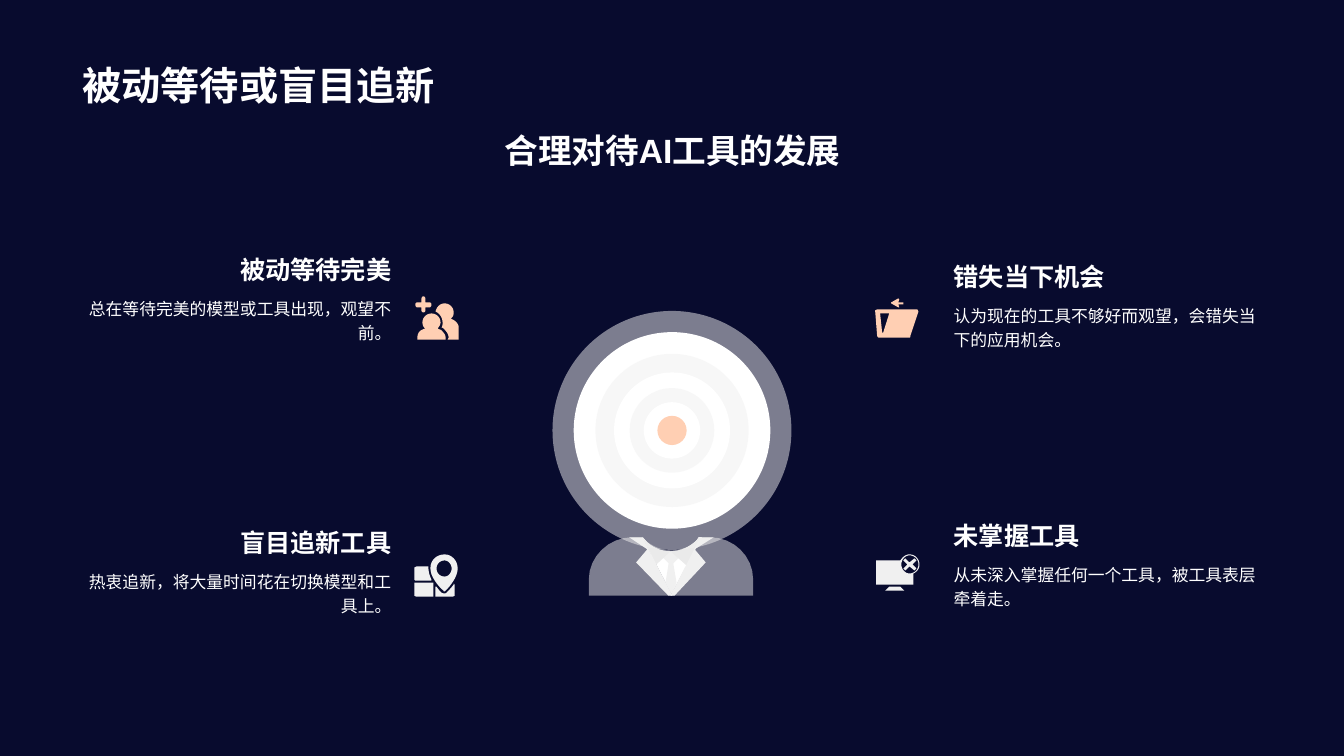
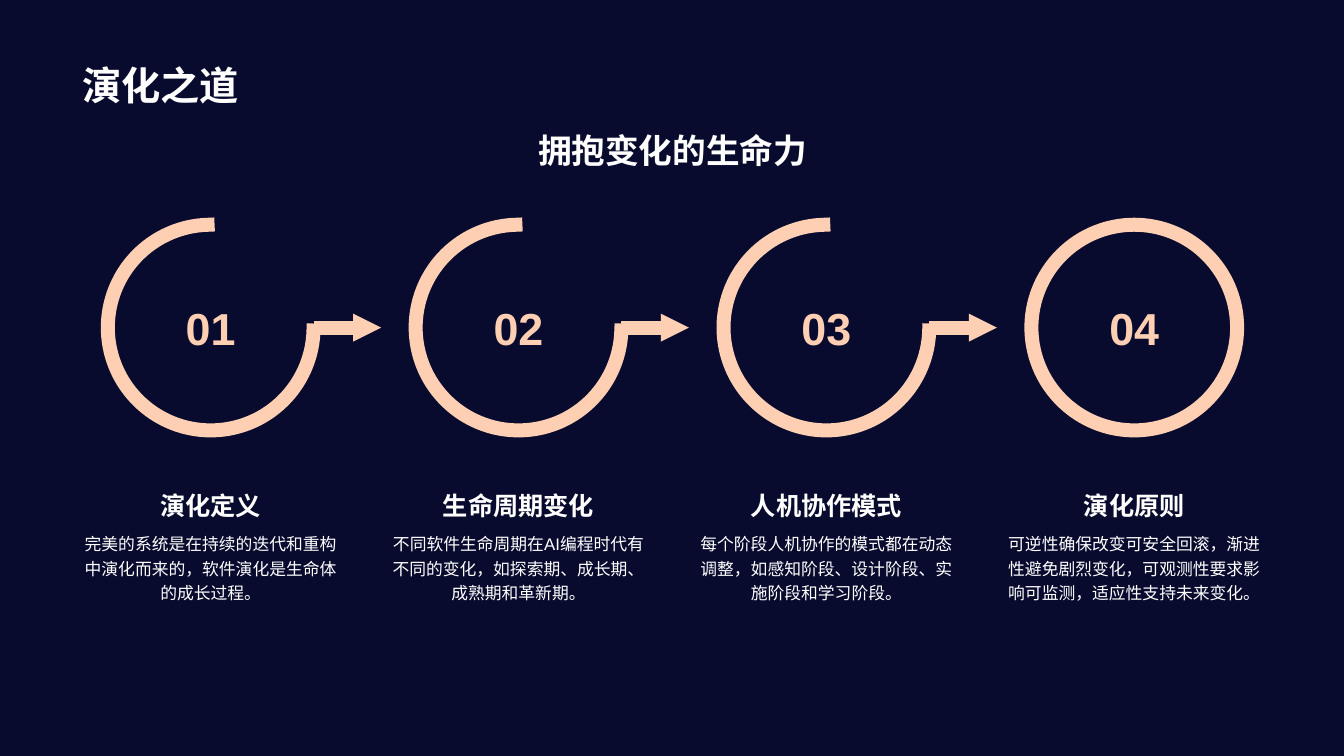
"""Build two dark slides: four points around a target, and a four-step evolution chain."""
import dataclasses
import itertools
import typing

import lxml.etree
import pptx
import pptx.dml.color
import pptx.enum.lang
import pptx.enum.shapes
import pptx.enum.text
import pptx.oxml.ns
import pptx.util

SHAPE = pptx.enum.shapes.MSO_SHAPE
ALIGN = pptx.enum.text.PP_ALIGN
ANCHOR = pptx.enum.text.MSO_ANCHOR
INCH = pptx.util.Inches
Point = tuple[float, float]


@dataclasses.dataclass(frozen=True)
class Theme:
    font: str = "Arial"
    back: str = "080B2E"
    white: str = "FFFFFF"
    pale: str = "F0F0F0"
    collar: str = "EAEAEA"
    accent: str = "FFCFB3"
    title: int = 28
    subtitle: int = 24
    number: int = 32
    heading: int = 18
    body: int = 12
    stroke: int = 10
    spacing: float = 1.2


class Box(typing.NamedTuple):
    x: float
    y: float
    w: float
    h: float


class Outline(typing.NamedTuple):
    data: str
    color: str
    alpha: int = 100


class Ring(typing.NamedTuple):
    diameter: float
    color: str
    alpha: int = 100


class Topic(typing.NamedTuple):
    on_left: bool
    y: float
    heading: str
    body: str
    icon: Outline
    icon_at: Point


class Step(typing.NamedTuple):
    heading: str
    body: str


T = Theme()
SLIDE_W, SLIDE_H = 13.33, 7.5
LEFT, CONTENT_W = 0.74, 11.86
RIGHT = LEFT + CONTENT_W
TITLE = Box(0.72, 0.14, 11.88, 0.98)
SUBTITLE = Box(LEFT, 1.24, CONTENT_W, 0.5)

PEOPLE = (
    "M 16 17 C 21 17 25 21 25 26 C 25 28 23 31 22 32 C 24 33 26 33 27 35 C 29 37 30 39 30 41 "
    "L 30 43 L 2 43 L 2 41 C 2 36 5 33 10 32 C 8 31 7 28 7 26 C 7 21 11 17 16 17 "
    "M 29 7 C 34 7 38 11 38 16 C 38 19 37 21 35 22 C 37 23 39 24 40 25 C 42 27 43 29 43 31 "
    "L 43 43 L 32 43 L 33 41 C 33 38 31 35 29 33 C 28 32 27 31 26 31 C 27 29 27 28 27 26 "
    "C 27 21 24 17 20 15 C 21 11 24 7 29 7 "
    "M 8 0 C 9 0 10 1 10 3 L 10 6 L 14 6 C 15 6 16 7 16 8 C 16 10 15 11 14 11 L 10 11 L 10 14 "
    "C 10 15 9 16 8 16 C 7 16 6 15 6 14 L 6 11 L 2 11 C 1 11 0 10 0 8 C 0 7 1 6 2 6 L 6 6 L 6 3 "
    "C 6 1 7 0 8 0"
)
FOLDER = (
    "M 5 15 L 7 34 L 8 34 L 14 15 "
    "M 2 11 L 42 11 L 43 13 L 35 37 C 35 38 35 39 34 39 L 4 39 C 3 39 2 38 2 37 L 0 12 "
    "M 23 0 L 24 1 L 23 4 L 28 4 L 28 6 L 23 6 L 24 9 L 23 9 L 16 5 L 16 4"
)
MAP = (
    "M 39 29 L 40 30 L 40 41 L 38 42 L 21 42 L 21 32 L 22 32 C 24 35 26 37 27 38 "
    "C 29 39 31 39 32 38 C 32 38 36 34 39 30 "
    "M 1 28 L 19 28 L 19 42 L 2 42 L 0 41 L 0 28 "
    "M 2 12 L 14 12 L 14 13 C 14 17 15 21 17 25 L 17 26 L 1 26 L 0 25 L 0 13 "
    "M 30 6 C 25 6 22 10 22 14 C 22 18 25 22 30 22 C 34 22 37 18 37 14 C 37 10 34 6 30 6 "
    "M 30 0 C 37 0 43 6 43 14 C 43 22 36 31 31 36 C 30 37 29 37 29 36 C 24 32 15 21 16 13 "
    "C 16 6 22 0 30 0"
)
SCREEN = (
    "M 13 32 L 24 32 L 28 36 L 9 36 "
    "M 29 4 L 33 8 L 38 4 L 40 6 L 36 10 L 40 14 L 38 16 L 33 12 L 29 16 L 27 14 L 31 10 L 27 6 "
    "M 33 1 C 29 1 25 5 25 10 C 25 15 29 19 33 19 C 38 19 42 15 42 10 C 42 5 38 1 33 1 "
    "M 33 0 C 39 0 43 5 43 10 C 43 14 41 17 37 19 L 37 30 L 0 30 L 0 6 L 24 6 C 26 3 29 0 33 0"
)
BUST_AT = (5.84, 5.33)
JACKET = Outline(
    "M 43 0 L 54 0 L 56 3 C 63 9 72 13 82 13 C 92 13 101 9 107 3 L 110 0 L 120 0 "
    "C 144 0 163 19 163 42 L 163 58 L 0 58 L 0 42 C 0 19 20 0 43 0", T.pale, 50)
SHIRT = Outline(
    "M 53 0 L 56 3 C 62 10 71 14 81 14 C 91 14 100 10 107 3 L 109 0 L 112 0 L 82 56", T.white)
KNOT = Box(6.51, 5.47, 0.29, 0.14)
CLOTHES = (
    Outline("M 53 0 L 56 3 C 62 10 71 14 81 14 L 67 27", T.collar),
    Outline("M 109 0 L 112 0 L 97 28 L 81 14 C 91 14 100 10 107 3", T.collar),
    Outline("M 40 0 L 53 0 L 60 13 L 83 58 L 79 58 L 47 25 L 58 12", T.pale),
    Outline("M 110 0 L 124 0 L 105 12 L 116 25 L 85 58 L 81 58 L 104 13", T.pale),
    Outline("M 80 21 L 83 21 L 87 45 L 82 56 L 76 45", T.pale),
)
TARGET_CENTER = (SLIDE_W / 2, 4.27)
RINGS = (
    Ring(2.37, T.pale, 50), Ring(1.95, T.white), Ring(1.52, T.pale, 50), Ring(1.15, T.white),
    Ring(0.84, T.pale, 50), Ring(0.56, T.white), Ring(0.29, T.accent),
)
TOPIC_W, TOPIC_HEAD_H, TOPIC_BODY_H = 3.24, 0.43, 0.85
TOPICS = (
    Topic(True, 2.87, "被动等待完美", "总在等待完美的模型或工具出现，观望不前。",
          Outline(PEOPLE, T.accent), (4.12, 2.94)),
    Topic(False, 2.94, "错失当下机会", "认为现在的工具不够好而观望，会错失当下的应用机会。",
          Outline(FOLDER, T.accent), (8.68, 2.96)),
    Topic(True, 5.58, "盲目追新工具", "热衷追新，将大量时间花在切换模型和工具上。",
          Outline(MAP, T.pale), (4.11, 5.5)),
    Topic(False, 5.51, "未掌握工具", "从未深入掌握任何一个工具，被工具表层牵着走。",
          Outline(SCREEN, T.pale), (8.69, 5.5)),
)
STEP_W, CIRCLE, CIRCLE_Y, ARROW = 2.7, 2.04, 2.23, 0.67
STEP_HEAD_Y, STEP_BODY_Y, STEP_BODY_H = 4.54, 5.21, 1.5
STEPS = (
    Step("演化定义", "完美的系统是在持续的迭代和重构中演化而来的，软件演化是生命体的成长过程。"),
    Step("生命周期变化", "不同软件生命周期在AI编程时代有不同的变化，如探索期、成长期、成熟期和革新期。"),
    Step("人机协作模式", "每个阶段人机协作的模式都在动态调整，如感知阶段、设计阶段、实施阶段和学习阶段。"),
    Step("演化原则", "可逆性确保改变可安全回滚，渐进性避免剧烈变化，可观测性要求影响可监测，适应性支持未来变化。"),
)


def rgb(color: str) -> pptx.dml.color.RGBColor:
    return pptx.dml.color.RGBColor.from_string(color)


def emu(box: Box) -> list[int]:
    return [INCH(v) for v in box]


def write(sp, text: str, size: int, bold: bool = True, color: str = T.white,
          align=ALIGN.LEFT, anchor=ANCHOR.TOP, spacing: float | None = None) -> None:
    tf = sp.text_frame
    tf.word_wrap, tf.vertical_anchor = True, anchor
    p = tf.paragraphs[0]
    p.alignment, p.line_spacing = align, spacing
    r = p.add_run()
    r.text = text
    formats = {"name": T.font, "size": pptx.util.Pt(size), "bold": bold,
               "language_id": pptx.enum.lang.MSO_LANGUAGE_ID.SIMPLIFIED_CHINESE}
    for name, value in formats.items():
        setattr(r.font, name, value)
    r.font.color.rgb = rgb(color)


def add_text(s, box: Box, text: str, size: int, **formats) -> None:
    write(s.shapes.add_textbox(*emu(box)), text, size, **formats)


def add_heading_and_body(s, head: Box, body_h: float, heading: str, body: str, align) -> None:
    add_text(s, head, heading, T.heading, align=align, anchor=ANCHOR.BOTTOM)
    below = Box(head.x, head.y + head.h, head.w, body_h)
    add_text(s, below, body, T.body, bold=False, align=align, spacing=T.spacing)


def paint(sp, color: str, alpha: int = 100) -> None:
    sp.shadow.inherit = False
    sp.line.fill.background()
    sp.fill.solid()
    sp.fill.fore_color.rgb = rgb(color)
    if alpha < 100:
        clr = sp.element.spPr.find(".//" + pptx.oxml.ns.qn("a:srgbClr"))
        lxml.etree.SubElement(clr, pptx.oxml.ns.qn("a:alpha"), val=str(alpha * 1000))


def bezier(ends: list[Point], steps: int = 8) -> list[Point]:
    def at(t: float) -> Point:
        weights = ((1 - t) ** 3, 3 * t * (1 - t) ** 2, 3 * t * t * (1 - t), t ** 3)
        return tuple(sum(w * e[axis] for w, e in zip(weights, ends)) for axis in (0, 1))
    return [at(i / steps) for i in range(1, steps + 1)]


def contours(data: str) -> list[list[Point]]:
    found: list[list[Point]] = []
    tokens = iter(data.split())
    for command in tokens:
        numbers = [100 * float(v) for v in itertools.islice(tokens, 6 if command == "C" else 2)]
        points = list(zip(numbers[::2], numbers[1::2]))
        if command == "M":
            found.append(points)
        elif command == "L":
            found[-1] += points
        else:
            found[-1] += bezier([found[-1][-1], *points])
    return found


def add_outline(s, outline: Outline, at: Point) -> None:
    loops = contours(outline.data)
    builder = s.shapes.build_freeform(*loops[0][0], scale=INCH(1) / 10000)
    for i, (start, *rest) in enumerate(loops):
        if i:
            builder.move_to(*start)
        builder.add_line_segments(rest, close=True)
    paint(builder.convert_to_shape(*map(INCH, at)), outline.color, outline.alpha)


def stroke(sp) -> lxml.etree._Element:
    sp.line.color.rgb = rgb(T.accent)
    sp.line.width = pptx.util.Pt(T.stroke)
    return sp.element.spPr.find(pptx.oxml.ns.qn("a:ln"))


def add_arrow(s, x: float, y: float) -> None:
    ends = [INCH(v) for v in (x, y, x + ARROW, y)]
    sp = s.shapes.add_connector(pptx.enum.shapes.MSO_CONNECTOR.STRAIGHT, *ends)
    lxml.etree.SubElement(stroke(sp), pptx.oxml.ns.qn("a:tailEnd"), type="triangle", w="sm", len="sm")
    lxml.etree.SubElement(sp.element.spPr, pptx.oxml.ns.qn("a:effectLst"))


def add_circle(s, x: float, number: int, is_open: bool) -> None:
    kind = SHAPE.ARC if is_open else SHAPE.OVAL
    sp = s.shapes.add_shape(kind, *emu(Box(x, CIRCLE_Y, CIRCLE, CIRCLE)))
    sp.shadow.inherit = False
    sp.fill.background()
    ln = stroke(sp)
    if is_open:
        sp.adjustments[0], sp.adjustments[1] = 1, 160.96
        ln.set("cap", "sq")
    write(sp, f"{number:02}", T.number, color=T.accent, align=ALIGN.CENTER, anchor=ANCHOR.MIDDLE)


def add_slide(prs, title: str, subtitle: str):
    s = prs.slides.add_slide(prs.slide_layouts[6])
    add_text(s, TITLE, title, T.title, anchor=ANCHOR.BOTTOM)
    add_text(s, SUBTITLE, subtitle, T.subtitle, align=ALIGN.CENTER)
    return s


def build_attitudes(prs) -> None:
    s = add_slide(prs, "被动等待或盲目追新", "合理对待AI工具的发展")
    for outline in (JACKET, SHIRT):
        add_outline(s, outline, BUST_AT)
    knot = s.shapes.add_shape(SHAPE.ISOSCELES_TRIANGLE, *emu(KNOT))
    knot.rotation = 180
    paint(knot, T.pale)
    for outline in CLOTHES:
        add_outline(s, outline, BUST_AT)
    for d, color, alpha in RINGS:
        x, y = (c - d / 2 for c in TARGET_CENTER)
        paint(s.shapes.add_shape(SHAPE.OVAL, *emu(Box(x, y, d, d))), color, alpha)
    for topic in TOPICS:
        x, align = (LEFT, ALIGN.RIGHT) if topic.on_left else (RIGHT - TOPIC_W, ALIGN.LEFT)
        head = Box(x, topic.y - TOPIC_HEAD_H, TOPIC_W, TOPIC_HEAD_H)
        add_heading_and_body(s, head, TOPIC_BODY_H, topic.heading, topic.body, align)
        add_outline(s, topic.icon, topic.icon_at)


def build_evolution(prs) -> None:
    s = add_slide(prs, "演化之道", "拥抱变化的生命力")
    pitch = (CONTENT_W - STEP_W) / (len(STEPS) - 1)
    for i, step in enumerate(STEPS):
        x = LEFT + i * pitch
        circle_x = x + (STEP_W - CIRCLE) / 2
        is_open = i < len(STEPS) - 1
        if is_open:
            add_arrow(s, circle_x + CIRCLE, CIRCLE_Y + CIRCLE / 2)
        add_circle(s, circle_x, i + 1, is_open)
        head = Box(x, STEP_HEAD_Y, STEP_W, STEP_BODY_Y - STEP_HEAD_Y)
        add_heading_and_body(s, head, STEP_BODY_H, step.heading, step.body, ALIGN.CENTER)


def main() -> None:
    prs = pptx.Presentation()
    prs.slide_width, prs.slide_height = INCH(SLIDE_W), INCH(SLIDE_H)
    fill = prs.slide_master.background.fill
    fill.solid()
    fill.fore_color.rgb = rgb(T.back)
    build_attitudes(prs)
    build_evolution(prs)
    prs.save("out.pptx")


if __name__ == "__main__":
    main()
